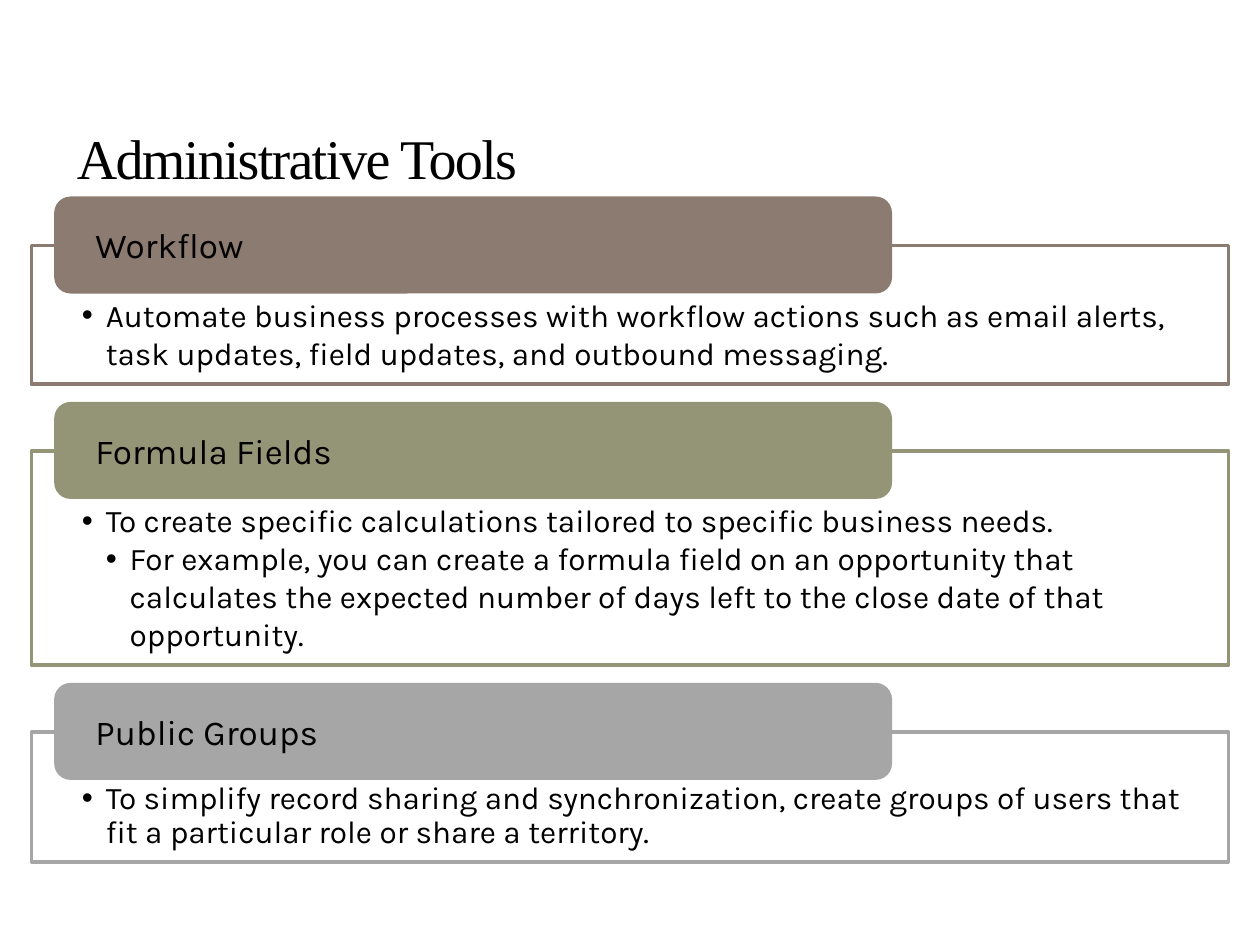
from dataclasses import dataclass

from lxml.etree import SubElement
from pptx import Presentation
from pptx.dml.color import RGBColor
from pptx.enum.shapes import MSO_SHAPE
from pptx.enum.text import MSO_ANCHOR, MSO_AUTO_SIZE, PP_ALIGN
from pptx.oxml.ns import qn
from pptx.util import Inches, Pt

TITLE = "Administrative Tools"

# Each tool: heading, accent colour, frame height, line spacing, (level, text) bullets
TOOLS = [
    ("Workflow", "8C7B70", 1.1, None, [
        (1, "Automate business processes with workflow actions such as email alerts, "
            "task updates, field updates, and outbound messaging."),
    ]),
    ("Formula Fields", "949576", 1.7, None, [
        (1, "To create specific calculations tailored to specific business needs."),
        (2, "For example, you can create a formula field on an opportunity that "
            "calculates the expected number of days left to the close date of that "
            "opportunity."),
    ]),
    ("Public Groups", "A6A6A6", 1.03, 0.9, [
        (1, "To simplify record sharing and synchronization, create groups of users "
            "that fit a particular role or share a territory."),
    ]),
]


@dataclass(frozen=True)
class Theme:
    title_font: str = "Times New Roman"
    body_font: str = "Karla"
    title_size: int = 32
    heading_size: int = 20
    bullet_size: int = 18
    text: str = "000000"
    frame_fill: str = "FFFFFF"
    frame_line: float = 2.07


THEME = Theme()

FRAME_LEFT, FRAME_WIDTH = 0.25, 9.5
TAB_LEFT, TAB_WIDTH, TAB_HEIGHT = 0.43, 6.65, 0.77
TAB_RADIUS = 0.13
FIRST_TAB_TOP = 1.56
TAB_RISE = 0.39   # how far a heading stands above its frame
GAP = 0.14        # from a frame to the next heading
INDENT = 0.19


def style(paragraph, font_name, size):
    font = paragraph.font
    font.name, font.size = font_name, Pt(size)
    font.color.rgb = RGBColor.from_string(THEME.text)


def set_margins(frame, left, top, right, bottom):
    frame.margin_left, frame.margin_top = Inches(left), Inches(top)
    frame.margin_right, frame.margin_bottom = Inches(right), Inches(bottom)


def add_box(slide, preset, left, top, width, height, fill):
    box = slide.shapes.add_shape(
        preset, Inches(left), Inches(top), Inches(width), Inches(height))
    box.shadow.inherit = False
    box.fill.solid()
    box.fill.fore_color.rgb = RGBColor.from_string(fill)
    box.text_frame.word_wrap = True
    return box


def add_bullet(paragraph, level, text, line_spacing):
    paragraph.text = text
    paragraph.level = level
    paragraph.alignment = PP_ALIGN.LEFT
    if line_spacing:
        paragraph.line_spacing = line_spacing
        paragraph.space_after = Pt(3)
    properties = paragraph._p.get_or_add_pPr()
    properties.set("marL", str(Inches(INDENT * level)))
    properties.set("indent", str(-Inches(INDENT)))
    SubElement(properties, qn("a:buFont"), typeface="Arial")
    SubElement(properties, qn("a:buChar"), char="•")
    style(paragraph, THEME.body_font, THEME.bullet_size)


def add_frame(slide, top, height, accent, bullets, line_spacing):
    frame = add_box(slide, MSO_SHAPE.RECTANGLE, FRAME_LEFT, top,
                    FRAME_WIDTH, height, THEME.frame_fill)
    white = frame.fill._xPr.find(qn("a:solidFill")).find(qn("a:srgbClr"))
    SubElement(white, qn("a:alpha"), val="90000")
    frame.line.color.rgb = RGBColor.from_string(accent)
    frame.line.width = Pt(THEME.frame_line)
    body = frame.text_frame
    body.vertical_anchor = MSO_ANCHOR.TOP
    set_margins(body, 0.4, 0.4, 0.1, 0.1)
    for index, (level, text) in enumerate(bullets):
        paragraph = body.add_paragraph() if index else body.paragraphs[0]
        add_bullet(paragraph, level, text, line_spacing)


def add_heading(slide, top, accent, text):
    tab = add_box(slide, MSO_SHAPE.ROUNDED_RECTANGLE, TAB_LEFT, top,
                  TAB_WIDTH, TAB_HEIGHT, accent)
    tab.adjustments[0] = TAB_RADIUS / TAB_HEIGHT
    tab.line.fill.background()
    tab.text_frame.vertical_anchor = MSO_ANCHOR.MIDDLE
    set_margins(tab.text_frame, 0.29, 0.04, 0.29, 0.04)
    heading = tab.text_frame.paragraphs[0]
    heading.text = text
    heading.alignment = PP_ALIGN.LEFT
    style(heading, THEME.body_font, THEME.heading_size)


def set_title(slide):
    title = slide.shapes.title
    title.left, title.top = Inches(0.51), Inches(0.91)
    title.width, title.height = Inches(9), Inches(0.67)
    title.text_frame.text = TITLE
    title.text_frame.auto_size = MSO_AUTO_SIZE.NONE
    title.text_frame.vertical_anchor = MSO_ANCHOR.MIDDLE
    line = title.text_frame.paragraphs[0]
    line.alignment = PP_ALIGN.LEFT
    style(line, THEME.title_font, THEME.title_size)
    line.runs[0]._r.get_or_add_rPr().set("spc", "-100")


def main():
    deck = Presentation()
    deck.slide_width, deck.slide_height = Inches(10), Inches(7.5)
    slide = deck.slides.add_slide(deck.slide_layouts[5])
    set_title(slide)
    tab_top = FIRST_TAB_TOP
    for heading, accent, height, line_spacing, bullets in TOOLS:
        frame_top = tab_top + TAB_RISE
        add_frame(slide, frame_top, height, accent, bullets, line_spacing)
        add_heading(slide, tab_top, accent, heading)
        tab_top = frame_top + height + GAP
    deck.save("out.pptx")


if __name__ == "__main__":
    main()
